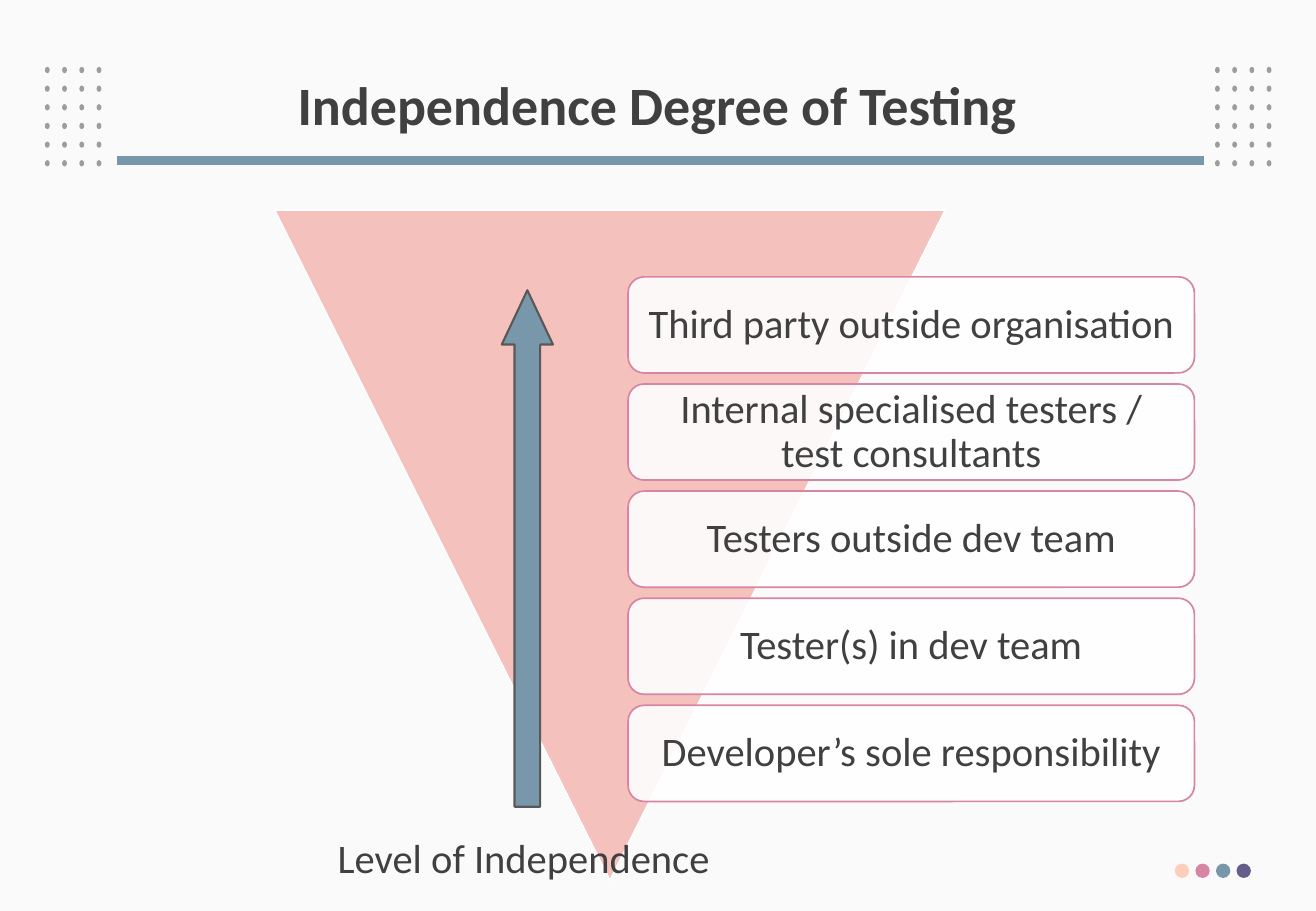
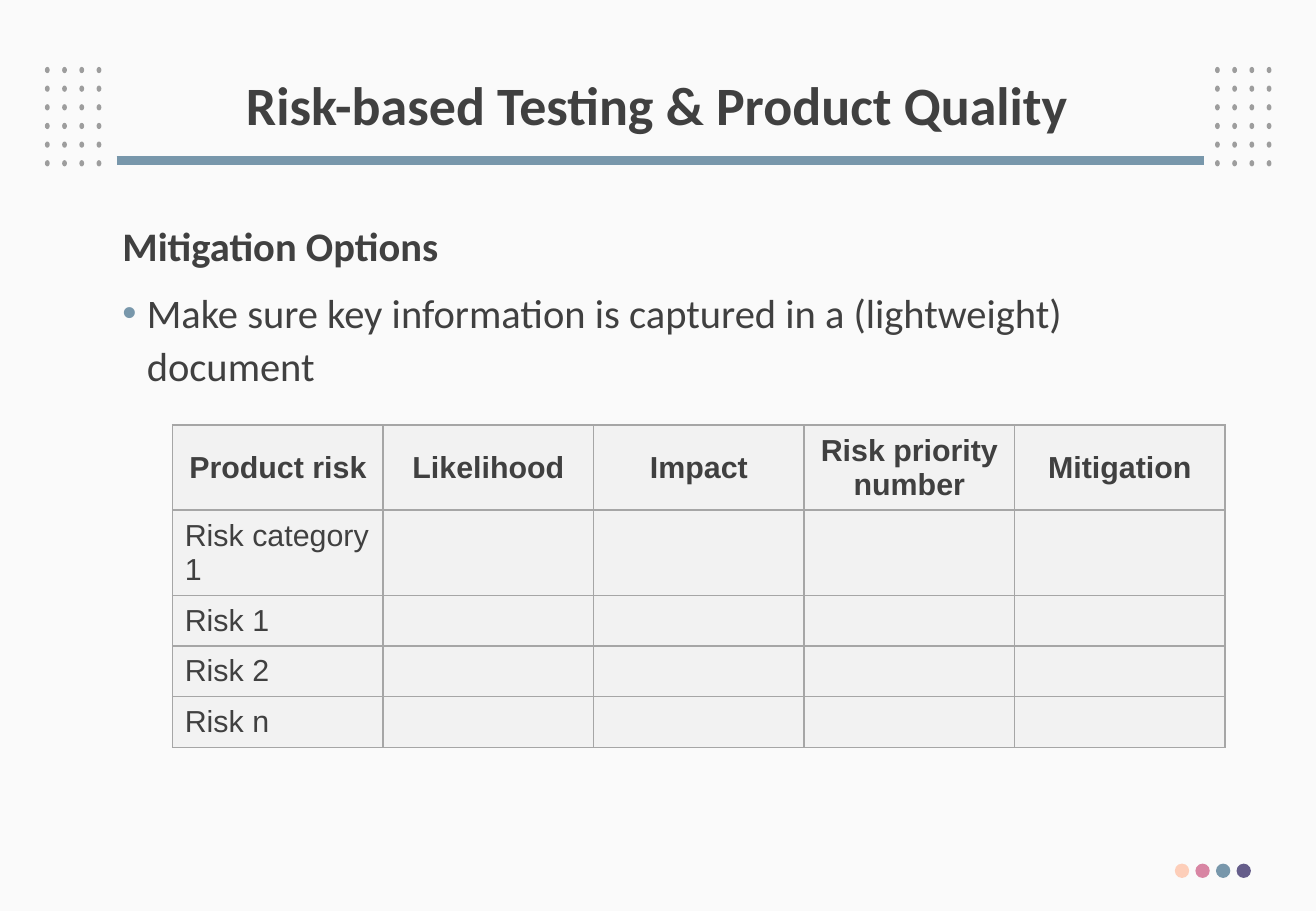
from lxml import etree
from pptx import Presentation
from pptx import util as u
from pptx.dml.color import RGBColor
from pptx.enum import shapes, text
from pptx.oxml import ns

Cm, Pt = u.Cm, u.Pt
PAPER = RGBColor(0xFA, 0xFA, 0xFA)
WHITE = RGBColor(0xFF, 0xFF, 0xFF)
INK = RGBColor(0x40, 0x40, 0x40)
OUTLINE = RGBColor(0x59, 0x59, 0x59)
DOT_GREY = RGBColor(0x9D, 0x9D, 0x9D)
CELL_GREY = RGBColor(0xF2, 0xF2, 0xF2)
BORDER_GREY = RGBColor(0xA6, 0xA6, 0xA6)
BLUE = RGBColor(0x78, 0x97, 0xAB)
PEACH = RGBColor(0xFD, 0xCE, 0xB9)
PINK = RGBColor(0xD8, 0x85, 0xA3)
PURPLE = RGBColor(0x65, 0x5D, 0x8A)
SALMON = RGBColor(0xF4, 0xC1, 0xBD)

CENTER = text.PP_ALIGN.CENTER
MIDDLE = text.MSO_ANCHOR.MIDDLE
KIND = shapes.MSO_SHAPE

RESPONSIBILITIES = [
    "Third party outside organisation",
    "Internal specialised testers / test consultants",
    "Testers outside dev team",
    "Tester(s) in dev team",
    "Developer’s sole responsibility",
]
RISK_HEADINGS = ["Product risk", "Likelihood", "Impact", "Risk priority number", "Mitigation"]
RISK_NAMES = ["Risk category 1", "Risk 1", "Risk 2", "Risk n"]


def add_child(parent, tag, **attributes):
    return etree.SubElement(parent, ns.qn(tag), attributes)


def place(left, top, width, height):
    return Cm(left), Cm(top), Cm(width), Cm(height)


def add_span(para, words, size=24, bold=False, font="Calibri"):
    span = para.add_run()
    span.text = words
    span.font.size = Pt(size)
    span.font.bold = bold
    span.font.name = font
    span.font.color.rgb = INK


def add_figure(page, kind, area, fill, line=None, weight=1):
    figure = page.shapes.add_shape(kind, *place(*area))
    figure.shadow.inherit = False
    figure.fill.solid()
    figure.fill.fore_color.rgb = fill
    if line is None:
        figure.line.fill.background()
    else:
        figure.line.color.rgb = line
        figure.line.width = Pt(weight)
    return figure


def add_text_box(page, area, wrap=True):
    box = page.shapes.add_textbox(*place(*area))
    box.text_frame.word_wrap = wrap
    return box.text_frame


def set_opacity(figure, percent):
    color = figure.fill._xPr.find(ns.qn("a:solidFill"))[0]
    add_child(color, "a:alpha", val=str(percent * 1000))


def add_dot_grid(page, left):
    for row in range(6):
        for column in range(4):
            area = (left + 0.36 * column, 1.4 + 0.39 * row, 0.1, 0.13)
            add_figure(page, KIND.OVAL, area, DOT_GREY)


def add_rule(page):
    rule = page.shapes.add_connector(
        shapes.MSO_CONNECTOR.STRAIGHT, Cm(2.44), Cm(3.35), Cm(25.17), Cm(3.35))
    rule.line.color.rgb = BLUE
    rule.line.width = Pt(5.25)
    add_child(rule._element.spPr, "a:effectLst")


def add_page(deck, title):
    page = deck.slides.add_slide(deck.slide_layouts[6])
    page.background.fill.solid()
    page.background.fill.fore_color.rgb = PAPER
    for left in (0.94, 25.4):
        add_dot_grid(page, left)
    add_rule(page)
    for index, color in enumerate((PEACH, PINK, BLUE, PURPLE)):
        add_figure(page, KIND.OVAL, (24.56 + 0.43 * index, 18.06, 0.3, 0.3), color)
    frame = add_text_box(page, (1.88, 1.02, 23.72, 2.49))
    frame.vertical_anchor = MIDDLE
    para = frame.paragraphs[0]
    para.alignment = CENTER
    para.line_spacing = 0.9
    add_span(para, title, 32, True)
    return page


def add_responsibility(page, top, words):
    box = add_figure(page, KIND.ROUNDED_RECTANGLE, (13.13, top, 11.84, 2.01), WHITE, PINK)
    set_opacity(box, 90)
    frame = box.text_frame
    frame.word_wrap = True
    frame.vertical_anchor = MIDDLE
    para = frame.paragraphs[0]
    para.alignment = CENTER
    para.line_spacing = 0.9
    add_span(para, words)


def set_bullet(para):
    properties = para._p.get_or_add_pPr()
    properties.set("marL", str(Cm(0.51)))
    properties.set("indent", str(-Cm(0.51)))
    color = add_child(properties, "a:buClr")
    add_child(color, "a:srgbClr", val=str(BLUE))
    add_child(properties, "a:buFont", typeface="Arial")
    add_child(properties, "a:buChar", char="•")


def add_body(page, heading, point):
    frame = add_text_box(page, (2.31, 4.39, 23.52, 12.78))
    heading_para, point_para = frame.paragraphs[0], frame.add_paragraph()
    for para in (heading_para, point_para):
        para.line_spacing = 1.1
        para.space_before = Pt(8.1)
    set_bullet(point_para)
    add_span(heading_para, heading, bold=True)
    add_span(point_para, point)


def style_cell(cell):
    properties = cell._tc.get_or_add_tcPr()
    for side in ("a:lnL", "a:lnR", "a:lnT", "a:lnB"):
        border = add_child(properties, side, w=str(Pt(1)))
        fill = add_child(border, "a:solidFill")
        add_child(fill, "a:srgbClr", val=str(BORDER_GREY))
    cell.fill.solid()
    cell.fill.fore_color.rgb = CELL_GREY
    cell.vertical_anchor = MIDDLE


def add_risk_table(page):
    rows, columns = len(RISK_NAMES) + 1, len(RISK_HEADINGS)
    area = place(3.61, 8.89, 4.4 * columns, 1.06 * rows)
    table = page.shapes.add_table(rows, columns, *area).table
    table.first_row = table.horz_banding = False
    for cell in table.iter_cells():
        style_cell(cell)
    for column, heading in enumerate(RISK_HEADINGS):
        para = table.cell(0, column).text_frame.paragraphs[0]
        para.alignment = CENTER
        add_span(para, heading, 18, True, "Arial")
    for row, name in enumerate(RISK_NAMES, 1):
        para = table.cell(row, 0).text_frame.paragraphs[0]
        add_span(para, name, 18, font="Arial")


def build_independence(deck):
    page = add_page(deck, "Independence Degree of Testing")
    triangle = add_figure(
        page, KIND.ISOSCELES_TRIANGLE, (5.74, 4.39, 14.02, 14.02), SALMON, WHITE)
    triangle.rotation = 180
    for index, words in enumerate(RESPONSIBILITIES):
        add_responsibility(page, 5.79 + 2.24 * index, words)
    arrow = add_figure(page, KIND.UP_ARROW, (10.49, 6.07, 1.07, 10.8), BLUE, OUTLINE, 1.25)
    arrow.adjustments[1] = 1.06
    label = add_text_box(page, (6.81, 17.3, 8.38, 1.27), wrap=False)
    add_span(label.paragraphs[0], "Level of Independence")


def build_risk(deck):
    page = add_page(deck, "Risk-based Testing & Product Quality")
    add_body(page, "Mitigation Options",
             "Make sure key information is captured in a (lightweight) document")
    add_risk_table(page)


def main():
    deck = Presentation()
    deck.slide_width, deck.slide_height = Cm(27.51), Cm(19.05)
    build_independence(deck)
    build_risk(deck)
    deck.save("out.pptx")


if __name__ == "__main__":
    main()
